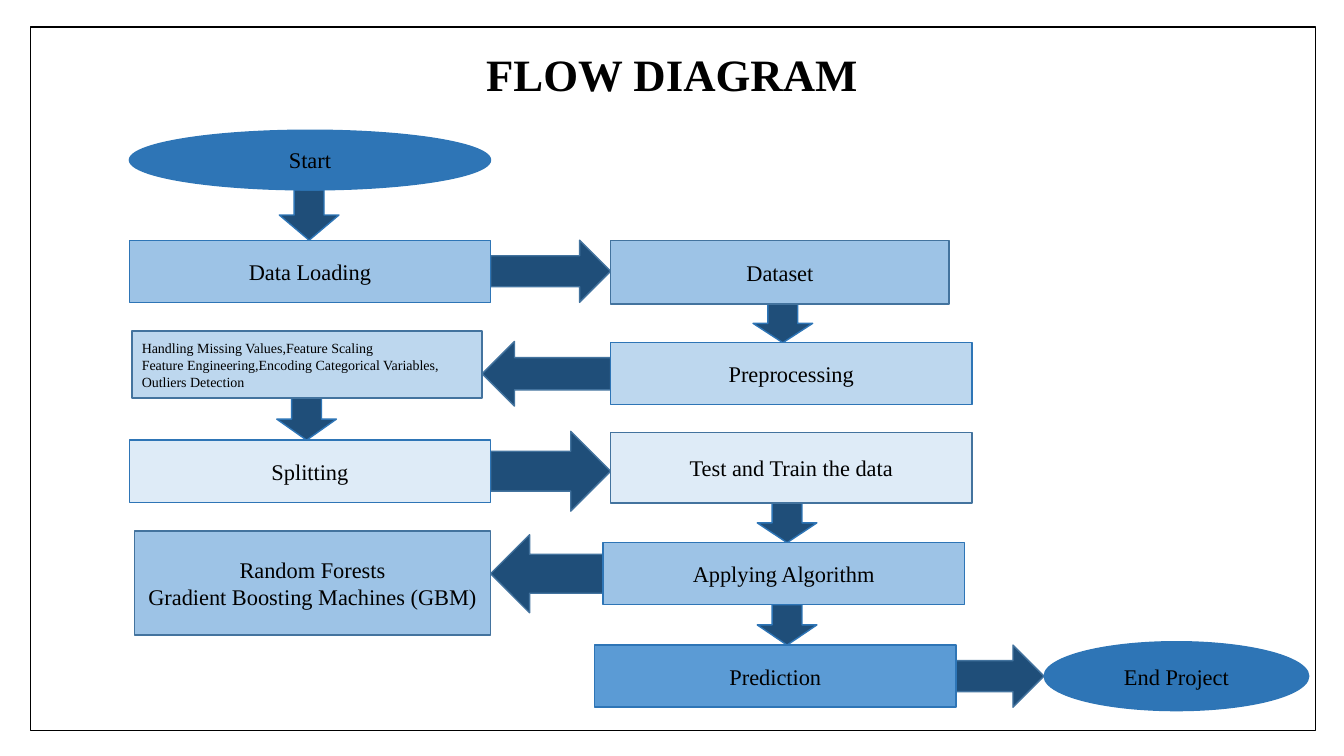
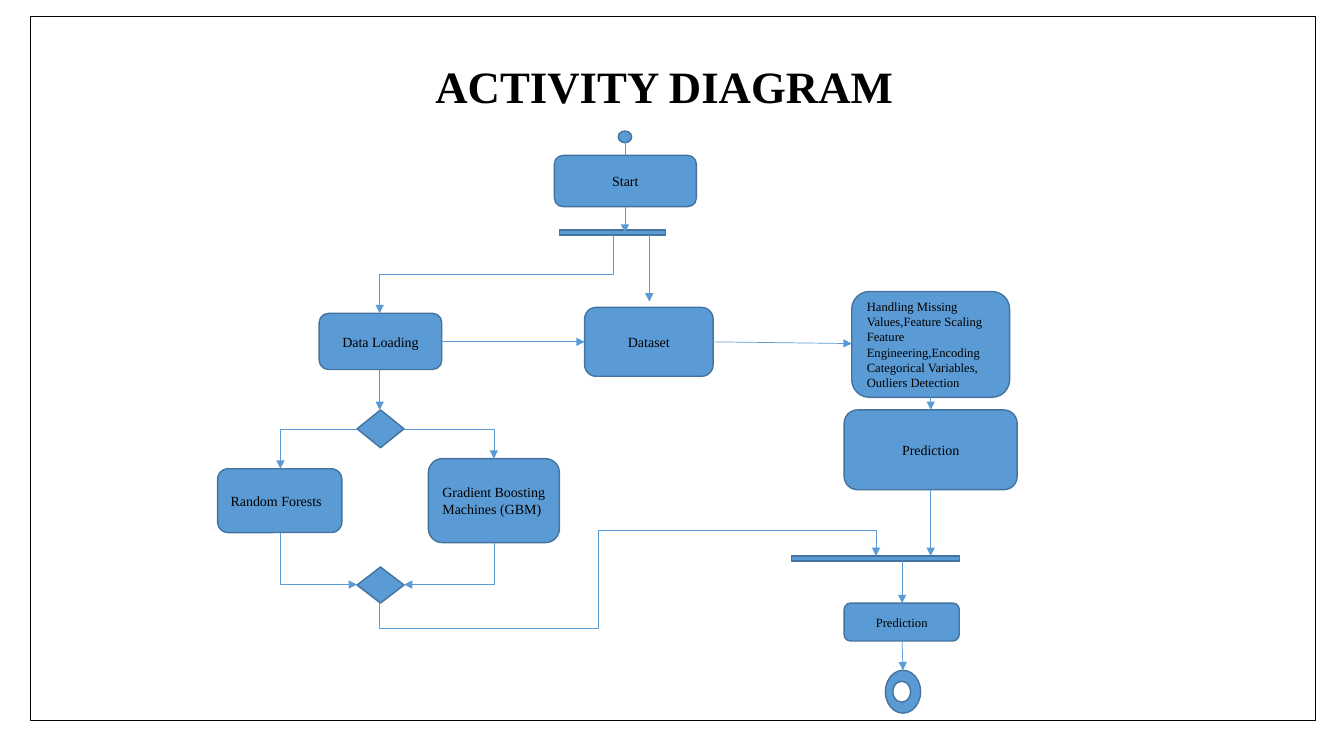
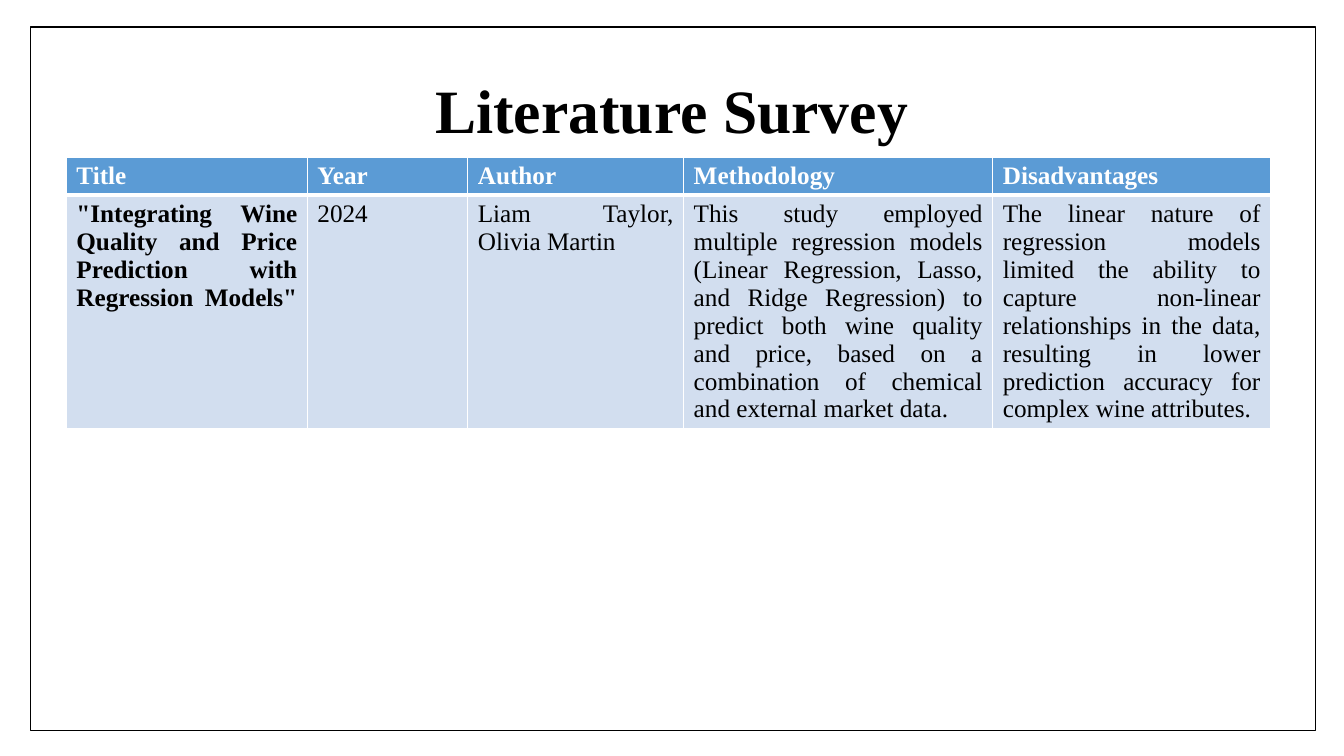
import pptx
import pptx.util
import pptx.dml.color
import pptx.enum.shapes
import pptx.enum.text
import pptx.oxml
import pptx.oxml.ns

RGB = pptx.dml.color.RGBColor
BLACK = RGB(0x00, 0x00, 0x00)
WHITE = RGB(0xFF, 0xFF, 0xFF)
NAVY = RGB(0x1F, 0x4E, 0x79)
EDGE = RGB(0x43, 0x73, 0x9E)
STRONG = RGB(0x2E, 0x75, 0xB6)
BLUE = RGB(0x5B, 0x9B, 0xD5)
SKY = RGB(0x9D, 0xC3, 0xE6)
LIGHT = RGB(0xBD, 0xD7, 0xEE)
PALE = RGB(0xDE, 0xEB, 0xF7)
ROW = RGB(0xD2, 0xDE, 0xEF)

SHAPE = pptx.enum.shapes.MSO_SHAPE
CONNECTOR = pptx.enum.shapes.MSO_CONNECTOR
ALIGN = pptx.enum.text.PP_ALIGN
ANCHOR = pptx.enum.text.MSO_ANCHOR
Pt = pptx.util.Pt

COLUMNS, ROWS = 160, 90  # the slide grid that all lengths refer to
FONT = "Times New Roman"

STEPS = ["Handling Missing Values,Feature Scaling",
         "Feature Engineering,Encoding Categorical Variables,",
         "Outliers Detection"]


class Deck:
    """Holds the style and the current slide; lengths are grid columns and rows."""

    def __init__(self):
        self.presentation = pptx.Presentation()
        self.presentation.slide_width = pptx.util.Inches(13.333)
        self.presentation.slide_height = pptx.util.Inches(7.5)
        self.slide = None

    def x(self, columns):
        return round(self.presentation.slide_width * columns / COLUMNS)

    def y(self, rows):
        return round(self.presentation.slide_height * rows / ROWS)

    def box(self, left, top, width, height):
        return self.x(left), self.y(top), self.x(width), self.y(height)

    def set_text(self, frame, lines, size, align, color=BLACK, bold=False):
        frame.text = "\n".join(lines)
        for paragraph in frame.paragraphs:
            paragraph.alignment = align
            font = paragraph.font
            font.name, font.size, font.bold = FONT, Pt(size), bold
            font.color.rgb = color

    def new_slide(self, title, title_box, size=32, frame_top=3.2):
        """Start a slide with its title and the thin page frame."""
        self.slide = self.presentation.slides.add_slide(self.presentation.slide_layouts[5])
        shape = self.slide.shapes.title
        shape.left, shape.top, shape.width, shape.height = self.box(*title_box)
        frame = shape.text_frame
        self.set_text(frame, [title], size, ALIGN.CENTER, bold=True)
        frame.paragraphs[0].line_spacing = 0.9
        frame.word_wrap = True
        frame.auto_size = pptx.enum.text.MSO_AUTO_SIZE.NONE
        frame.vertical_anchor = ANCHOR.MIDDLE
        self.node(SHAPE.RECTANGLE, (3.6, frame_top, 153, 83.8), None, BLACK)

    def node(self, kind, box, fill=BLUE, line=EDGE, lines=(), size=10, align=ALIGN.CENTER):
        shape = self.slide.shapes.add_shape(kind, *self.box(*box))
        shape.shadow.inherit = False
        if fill is None:
            shape.fill.background()
        else:
            shape.fill.solid()
            shape.fill.fore_color.rgb = fill
        shape.line.color.rgb = line
        shape.line.width = Pt(1)
        if lines:
            shape.text_frame.word_wrap = True
            shape.text_frame.vertical_anchor = ANCHOR.MIDDLE
            self.set_text(shape.text_frame, lines, size, align)

    def arrow_down(self, upper, lower, center):
        """Block arrow that fills the gap between two stacked boxes."""
        width, top = 7.1, upper[1] + upper[3]
        self.node(SHAPE.DOWN_ARROW, (center - width / 2, top, width, lower[1] - top),
                  NAVY, STRONG)

    def arrow_across(self, source, target, height):
        """Block arrow from one box to its neighbour, level with the source."""
        top = source[1] + (source[3] - height) / 2
        if source[0] < target[0]:
            kind, left, right = SHAPE.RIGHT_ARROW, source[0] + source[2], target[0]
        else:
            kind, left, right = SHAPE.LEFT_ARROW, target[0] + target[2], source[0]
        self.node(kind, (left, top, right - left, height), NAVY)

    def connect(self, kind, start, end, head=True):
        (x1, y1), (x2, y2) = start, end
        connector = self.slide.shapes.add_connector(
            kind, self.x(x1), self.y(y1), self.x(x2), self.y(y2))
        connector.line.color.rgb = BLUE
        connector.line.width = Pt(0.5)
        properties = connector._element.spPr
        if head:
            tail = pptx.oxml.parse_xml(
                f'<a:tailEnd {pptx.oxml.ns.nsdecls("a")} type="triangle"/>')
            properties.find(pptx.oxml.ns.qn("a:ln")).append(tail)
        properties.append(pptx.oxml.parse_xml(
            f'<a:effectLst {pptx.oxml.ns.nsdecls("a")}/>'))
        return properties

    def line(self, start, end, head=True):
        self.connect(CONNECTOR.STRAIGHT, start, end, head)

    def elbow(self, start, end, bends=1, down_first=False, adjust=()):
        """Bent arrow; one that leaves vertically is a turned horizontal one."""
        (x1, y1), (x2, y2) = start, end
        turn = 0
        if down_first:
            turn = 270 if x2 > x1 and y2 > y1 else 90
            sign = 1 if turn == 90 else -1
            x, y = (x1 + x2) / 2, (y1 + y2) / 2
            dx, dy = sign * (x2 - x1) / 2, sign * (y2 - y1) / 2
            start, end = (x - dy, y + dx), (x + dy, y - dx)
        properties = self.connect(CONNECTOR.ELBOW, start, end)
        properties.xfrm.set("rot", str(turn * 60000))
        geometry = properties.find(pptx.oxml.ns.qn("a:prstGeom"))
        geometry.set("prst", f"bentConnector{bends + 1}")
        for number, value in enumerate(adjust, 1):
            geometry.get_or_add_avLst().append(pptx.oxml.parse_xml(
                f'<a:gd {pptx.oxml.ns.nsdecls("a")} name="adj{number}" '
                f'fmla="val {round(value * 100000)}"/>'))

    def table(self, left, top, widths, heights, rows):
        table = self.slide.shapes.add_table(
            len(rows), len(widths),
            *self.box(left, top, sum(widths), sum(heights))).table
        table.horz_banding = False
        for column, width in zip(table.columns, widths):
            column.width = self.x(width)
        for row, height in zip(table.rows, heights):
            row.height = self.y(height)
        for r, texts in enumerate(rows):
            header = r == 0
            for c, text in enumerate(texts):
                cell = table.cell(r, c)
                self.borders(cell, L=1, R=1, T=1 if header else 3, B=3 if header else 1)
                cell.fill.solid()
                cell.fill.fore_color.rgb = BLUE if header else ROW
                self.set_text(cell.text_frame, [text], 18, ALIGN.JUSTIFY,
                              WHITE if header else BLACK, header or c == 0)

    def borders(self, cell, **widths):
        for side, width in widths.items():
            cell._tc.get_or_add_tcPr().append(pptx.oxml.parse_xml(
                f'<a:ln{side} {pptx.oxml.ns.nsdecls("a")} w="{int(Pt(width))}"><a:solidFill>'
                f'<a:srgbClr val="{WHITE}"/></a:solidFill></a:ln{side}>'))


def flow_diagram(deck):
    deck.new_slide("FLOW DIAGRAM", (11, 0.5, 138, 17.4))

    # Boxes
    start = (15.4, 15.5, 43, 7.1)
    loading = (15.4, 28.6, 43, 7.4)
    dataset = (72.7, 28.6, 40.3, 7.6)
    preprocessing = (72.7, 40.8, 43, 7.4)
    handling = (15.7, 39.4, 41.7, 8)
    splitting = (15.4, 52.4, 43, 7.4)
    training = (72.7, 51.5, 43, 8.4)
    applying = (71.8, 64.6, 43, 7.4)
    models = (16, 63.2, 42.4, 12.4)
    prediction = (70.8, 76.8, 43, 7.4)
    finish = (124.3, 76.4, 31.5, 8.2)

    # Block arrows
    for upper, lower, center in [(start, loading, 36.8), (dataset, preprocessing, 93.2),
                                 (handling, splitting, 36.5), (training, applying, 93.7),
                                 (applying, prediction, 93.7)]:
        deck.arrow_down(upper, lower, center)
    for source, target, height in [(loading, dataset, 7.4), (preprocessing, handling, 7.7),
                                   (splitting, training, 9.5), (applying, models, 9.3),
                                   (prediction, finish, 7.4)]:
        deck.arrow_across(source, target, height)

    # Boxes with text
    for box, fill, line, lines in [
            (loading, SKY, STRONG, ["Data Loading"]),
            (dataset, SKY, EDGE, ["Dataset"]),
            (preprocessing, LIGHT, STRONG, ["Preprocessing"]),
            (splitting, PALE, STRONG, ["Splitting"]),
            (training, PALE, EDGE, ["Test and Train the data"]),
            (applying, SKY, STRONG, ["Applying Algorithm"]),
            (models, SKY, EDGE, ["Random Forests", "Gradient Boosting Machines (GBM)"]),
            (prediction, BLUE, STRONG, ["Prediction"])]:
        deck.node(SHAPE.RECTANGLE, box, fill, line, lines, 16)
    deck.node(SHAPE.RECTANGLE, handling, LIGHT, EDGE, STEPS, 10, ALIGN.JUSTIFY)
    for box, text in [(start, "Start"), (finish, "End Project")]:
        deck.node(SHAPE.OVAL, box, STRONG, STRONG, [text], 16)


def activity_diagram(deck):
    deck.new_slide("ACTIVITY DIAGRAM", (10.1, 6.8, 138, 7.7), frame_top=2)

    # Activities
    for box, lines, size, align in [
            ((66, 18.5, 16.9, 6.1), ["Start"], 10, ALIGN.CENTER),
            ((38, 37.3, 14.6, 6.7), ["Data Loading"], 10, ALIGN.CENTER),
            ((69.6, 36.6, 15.3, 8.2), ["Dataset"], 10, ALIGN.CENTER),
            ((101.4, 34.7, 18.8, 12.6), STEPS, 9, ALIGN.LEFT),
            ((25.9, 55.8, 14.8, 7.6), ["Random Forests"], 10, ALIGN.LEFT),
            ((51, 54.6, 15.6, 10), ["Gradient Boosting Machines (GBM)"], 10, ALIGN.LEFT),
            ((100.5, 48.8, 20.6, 9.5), ["Prediction"], 10, ALIGN.CENTER),
            ((100.5, 71.8, 13.7, 4.5), ["Prediction"], 9, ALIGN.CENTER)]:
        deck.node(SHAPE.ROUNDED_RECTANGLE, box, lines=lines, size=size, align=align)

    # Start and end marks, decisions, bars
    deck.node(SHAPE.OVAL, (73.6, 15.6, 1.6, 1.4))
    deck.node(SHAPE.OVAL, (105.4, 79.8, 4.2, 5.1))
    deck.node(SHAPE.OVAL, (106.3, 81.1, 2.1, 2.5), WHITE)
    for top, height in [(48.8, 4.5), (67.5, 4.3)]:
        deck.node(SHAPE.FLOWCHART_DECISION, (42.5, top, 5.6, height))
    for left, top, width in [(66.6, 27.4, 12.6), (94.2, 66.2, 20)]:
        deck.node(SHAPE.RECTANGLE, (left, top, width, 0.6))

    # Straight arrows
    deck.line((74.4, 15.6), (74.4, 18.5), head=False)
    for start, end in [((74.4, 24.6), (74.4, 27.7)), ((77.3, 28), (77.3, 35.9)),
                       ((45.2, 44), (45.2, 48.8)), ((52.6, 40.7), (69.6, 40.7)),
                       ((84.9, 40.7), (101.4, 40.9)), ((110.8, 47.3), (110.8, 48.8)),
                       ((110.8, 58.3), (110.8, 66.2)), ((107.4, 66.8), (107.4, 71.8)),
                       ((107.4, 76.3), (107.5, 79.8))]:
        deck.line(start, end)

    # Bent arrows
    deck.elbow((73, 28), (45.2, 37.3), bends=2, down_first=True)
    deck.elbow((42.5, 51.1), (33.4, 55.8))
    deck.elbow((48.1, 51.1), (58.8, 54.6))
    deck.elbow((33.4, 63.4), (42.5, 69.6), down_first=True)
    deck.elbow((58.8, 64.6), (48.1, 69.6), down_first=True)
    deck.elbow((45.2, 71.8), (104.3, 66.2), bends=4, down_first=True,
               adjust=(-0.54, 0.44, 1.54))


def literature_survey(deck):
    deck.new_slide("Literature Survey", (11, 4.8, 138, 17.4), size=44)
    deck.table(7.9, 18.7, (28.7, 19.1, 25.7, 36.8, 33.1), (4.4, 27.8), [
        ["Title", "Year", "Author", "Methodology", "Disadvantages"],
        ['"Integrating Wine Quality and Price Prediction with Regression Models"\v',
         "2024", "Liam Taylor, Olivia Martin",
         "This study employed multiple regression models (Linear Regression, Lasso, and "
         "Ridge Regression) to predict both wine quality and price, based on a combination "
         "of chemical and external market data.",
         "The linear nature of regression models limited the ability to capture non-linear "
         "relationships in the data, resulting in lower prediction accuracy for complex "
         "wine attributes."]])


def main():
    deck = Deck()
    flow_diagram(deck)
    activity_diagram(deck)
    literature_survey(deck)
    deck.presentation.save("out.pptx")


if __name__ == "__main__":
    main()
